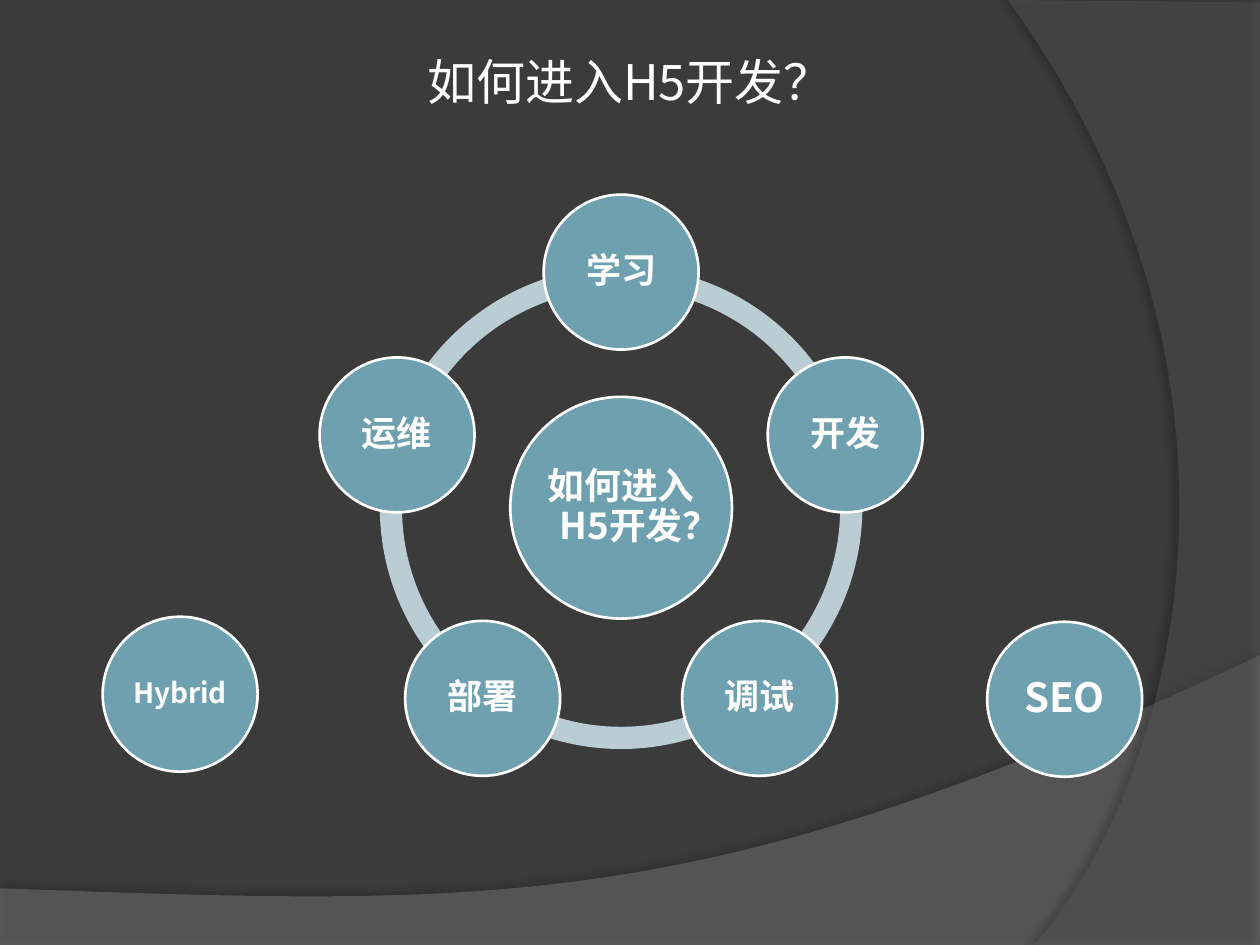
from math import cos, radians, sin

from lxml import etree
from pptx import Presentation
from pptx.dml.color import RGBColor
from pptx.enum.shapes import MSO_SHAPE as SHAPE
from pptx.enum.text import MSO_ANCHOR as ANCHOR, PP_ALIGN as ALIGN
from pptx.oxml.ns import qn
from pptx.util import Inches, Pt

FONT = "Noto Sans CJK SC"
BACKGROUND = RGBColor(0x3B, 0x3B, 0x3B)
BAND = RGBColor(0x7F, 0x7F, 0x7F)
SIDE = RGBColor(0x5E, 0x5E, 0x5E)
TEAL = RGBColor(0x6E, 0xA0, 0xB0)
RING = RGBColor(0xBA, 0xCD, 0xD4)
WHITE = RGBColor(0xFF, 0xFF, 0xFF)

QUESTION = "如何进入H5开发?".replace("?", "？")
STEPS = ["学习", "开发", "调试", "部署", "运维"]
CENTER_X, CENTER_Y = 4.93, 4.03
ORBIT = 1.87
RING_SIZE = 3.83
NODE_SIZE = 1.23


def bezier(start, control1, control2, end, steps=60):
    """Points along a cubic curve, without its start."""
    points = []
    for i in range(1, steps + 1):
        t = i / steps
        u = 1 - t
        weights = (u ** 3, 3 * u * u * t, 3 * u * t * t, t ** 3)
        corners = (start, control1, control2, end)
        points.append(tuple(sum(w * c[axis] for w, c in zip(weights, corners))
                            for axis in (0, 1)))
    return points


def add_sweep(slide, points, color, opacity, shade, blur, distance, direction):
    """Translucent background area with a soft shadow."""
    outline = [(Inches(x), Inches(y)) for x, y in points]
    builder = slide.shapes.build_freeform(*outline[0], scale=1.0)
    builder.add_line_segments(outline[1:], close=True)
    sweep = builder.convert_to_shape()
    sweep.shadow.inherit = False
    sweep.line.fill.background()
    sweep.fill.solid()
    sweep.fill.fore_color.rgb = color
    properties = sweep._element.spPr
    fill_color = properties.find(qn("a:solidFill")).find(qn("a:srgbClr"))
    etree.SubElement(fill_color, qn("a:alpha"), val=str(opacity * 1000))
    shadow = etree.SubElement(
        properties.find(qn("a:effectLst")), qn("a:outerShdw"),
        blurRad=str(Pt(blur)), dist=str(Pt(distance)),
        dir=str(direction * 60000), algn="ctr", rotWithShape="0")
    shadow_color = etree.SubElement(shadow, qn("a:srgbClr"), val="000000")
    etree.SubElement(shadow_color, qn("a:alpha"), val=str(shade * 1000))


def write(frame, text, size, bold=False):
    frame.word_wrap = True
    paragraph = frame.paragraphs[0]
    paragraph.text = text
    paragraph.alignment = ALIGN.CENTER
    font = paragraph.font
    font.size, font.bold, font.name = Pt(size), bold, FONT
    font.color.rgb = WHITE
    defaults = paragraph._p.pPr.find(qn("a:defRPr"))
    etree.SubElement(defaults, qn("a:ea"), typeface=FONT)
    return paragraph


def add_centered(slide, kind, x, y, size, color):
    shape = slide.shapes.add_shape(kind, Inches(x - size / 2), Inches(y - size / 2),
                                   Inches(size), Inches(size))
    shape.shadow.inherit = False
    shape.fill.solid()
    shape.fill.fore_color.rgb = color
    return shape


def add_arc(slide, start, end):
    arc = add_centered(slide, SHAPE.BLOCK_ARC, CENTER_X, CENTER_Y, RING_SIZE, RING)
    arc.line.fill.background()
    # Angles are stored in 60000ths of a degree, adjustments in 100000ths
    arc.adjustments[0] = start * 0.6
    arc.adjustments[1] = end * 0.6
    arc.adjustments[2] = 0.046


def add_node(slide, x, y, text, font_size, size=NODE_SIZE):
    node = add_centered(slide, SHAPE.OVAL, x, y, size, TEAL)
    node.line.color.rgb = WHITE
    node.line.width = Pt(1.5)
    frame = node.text_frame
    frame.margin_left = frame.margin_right = Inches(0.03)
    frame.margin_top = frame.margin_bottom = Inches(0.03)
    frame.vertical_anchor = ANCHOR.MIDDLE
    write(frame, text, font_size, bold=True).line_spacing = 0.9


def add_background(slide):
    slide.background.fill.solid()
    slide.background.fill.fore_color.rgb = BACKGROUND
    band_start = (10, 5.2)
    band = [(0, 7.51), (10, 7.51), band_start]
    band += bezier(band_start, (5.59, 7.29), (3.91, 7.19), (0, 7.05))
    add_sweep(slide, band, BAND, 45, shade=35, blur=4, distance=3.5, direction=270)
    side_start = (8.21, 7.5)
    side = [(10, 0.02), (10, 7.5), side_start]
    side += bezier(side_start, (9.35, 6.19), (10.18, 3), (8, 0))
    add_sweep(slide, side, SIDE, 40, shade=45, blur=4, distance=4, direction=180)


def add_cycle(slide):
    step_angle = 360 / len(STEPS)
    angles = [(270 + i * step_angle) % 360 for i in range(len(STEPS))]
    for angle in angles:
        add_arc(slide, angle, (angle + step_angle) % 360)
    add_node(slide, CENTER_X, CENTER_Y, QUESTION, 21, size=1.76)
    for step, angle in zip(STEPS, angles):
        add_node(slide, CENTER_X + ORBIT * cos(radians(angle)),
                 CENTER_Y + ORBIT * sin(radians(angle)), step, 20)


def add_title(slide):
    title = slide.shapes.add_textbox(Inches(3.19), Inches(0.36),
                                     Inches(3.62), Inches(0.57))
    write(title.text_frame, QUESTION, 28)


def main():
    deck = Presentation()
    deck.slide_width, deck.slide_height = Inches(10), Inches(7.5)
    slide = deck.slides.add_slide(deck.slide_layouts[6])
    add_background(slide)
    add_cycle(slide)
    add_title(slide)
    # Side topics
    add_node(slide, 8.45, 5.55, "SEO", 23)
    add_node(slide, 1.43, 5.51, "Hybrid", 16)
    deck.save("out.pptx")


main()
